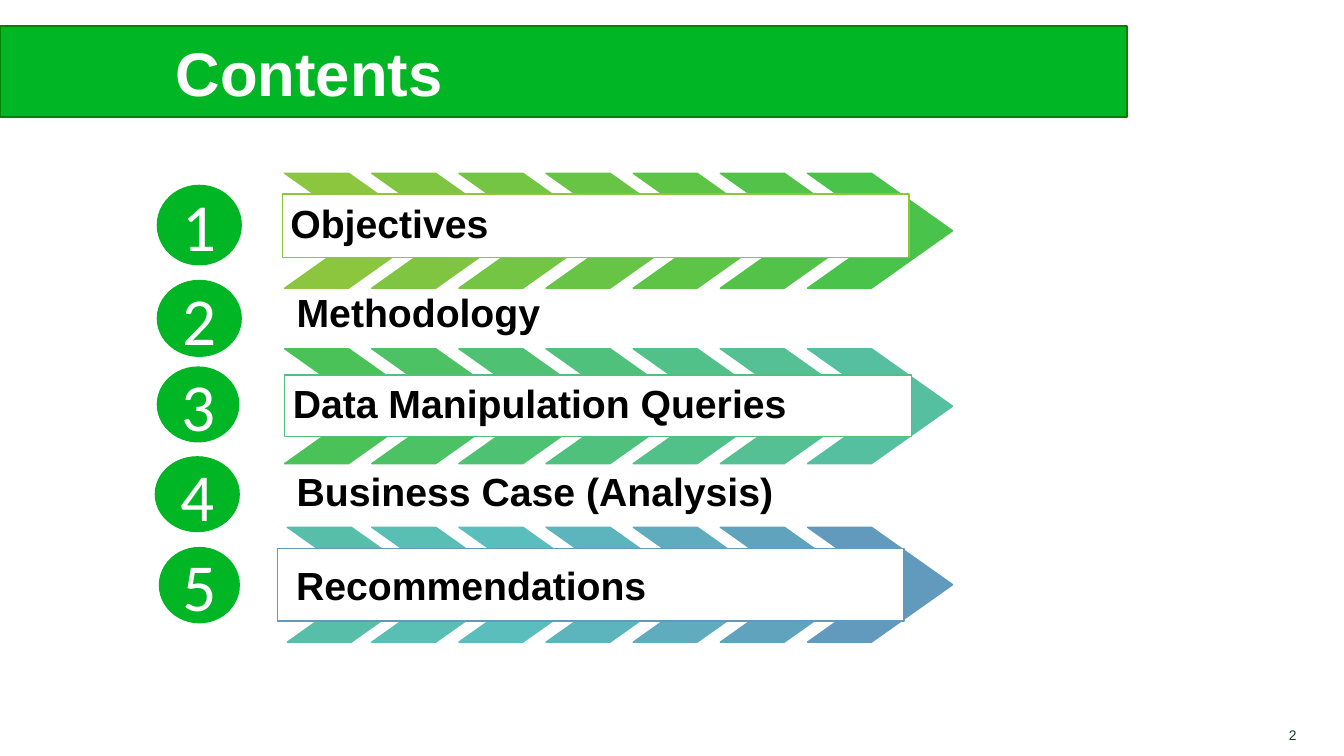
from pptx import Presentation
from pptx.dml.color import RGBColor
from pptx.enum.shapes import MSO_SHAPE
from pptx.enum.text import MSO_ANCHOR, PP_ALIGN
from pptx.util import Pt

# Content
TITLE = "Contents"
PAGE = "2"
COLORS = {"green": "00B624", "edge": "038203", "white": "FFFFFF",
          "black": "000000", "page": "163D22"}
# Arrow rows: label, box (left, top, width, height), outline,
# chevron top, first chevron left, left and top insets, chevron colours
ARROWS = [
    ("Objectives", (201.6, 138.5, 447.8, 45.4), "8CC63F", 123.8, 203.3, 5.8, 5.8,
     ["8CC63F", "80C541", "74C543", "68C444", "5DC446", "52C348", "4AC34B"]),
    ("Data Manipulation Queries", (203.3, 268, 447.8, 43.9), "50C17D", 249.1, 203.3, 5.8, 5.8,
     ["4BC258", "4DC265", "4FC172", "50C17D", "52C089", "54C094", "55BF9F"]),
    ("Recommendations", (198, 391.9, 447.8, 51.8), "619ABC", 376.6, 205.2, 13.5, 10.4,
     ["57BFA9", "59BEB3", "5ABEBC", "5CB5BD", "5EACBD", "5FA3BC", "619ABC"]),
]
PLAIN = [("Methodology", (203.3, 211, 442, 37.4)),
         ("Business Case (Analysis)", (203.3, 336.2, 442, 40.3))]
CIRCLES = [(112.3, 132.3, 60.1, 57), (112.3, 200.2, 60.1, 54.4),
           (112.3, 262.1, 58.3, 53.6), (110.9, 326.2, 60.1, 53.6),
           (113.8, 391, 57.2, 53.9)]
CHEVRON_LEFT, CHEVRON_STEP = 203.3, 62.25
CHEVRON_W, CHEVRON_H, CHEVRON_ADJ = 103.7, 82.1, 0.706

prs = Presentation()
prs.slide_width, prs.slide_height = Pt(960), Pt(540)
s = prs.slides.add_slide(prs.slide_layouts[6])


def rgb(value):
    return RGBColor.from_string(value)


def add_shape(kind, box, fill, line, width=1):
    sp = s.shapes.add_shape(kind, *map(Pt, box))
    sp.shadow.inherit = False
    sp.fill.solid()
    sp.fill.fore_color.rgb = rgb(fill)
    sp.line.color.rgb = rgb(line)
    sp.line.width = Pt(width)
    return sp


def add_textbox(box):
    return s.shapes.add_textbox(*map(Pt, box))


def write(sp, text, size, color, align=PP_ALIGN.LEFT, font="Arial", bold=False,
          anchor=MSO_ANCHOR.MIDDLE, insets=(7.2, 3.6, 7.2, 3.6), spacing=None):
    tf = sp.text_frame
    tf.word_wrap = True
    tf.vertical_anchor = anchor
    tf.margin_left, tf.margin_top, tf.margin_right, tf.margin_bottom = map(Pt, insets)
    p = tf.paragraphs[0]
    p.alignment = align
    if spacing:
        p.line_spacing = spacing
    r = p.add_run()
    r.text = text
    r.font.size = Pt(size)
    r.font.name = font
    r.font.bold = bold
    r.font.color.rgb = rgb(color)


def write_label(sp, text, insets, anchor=MSO_ANCHOR.MIDDLE):
    write(sp, text, 28, COLORS["black"], bold=True, anchor=anchor,
          insets=insets, spacing=0.9)


# Page number and title band
write(add_textbox((860.4, 517.7, 72.7, 14.4)), PAGE, 9.9, COLORS["page"], PP_ALIGN.RIGHT)
band = add_shape(MSO_SHAPE.RECTANGLE, (0, 18.7, 805, 64.8), COLORS["green"], COLORS["edge"])
write(band, TITLE, 44, COLORS["white"], bold=True, insets=(125.5, 3.6, 7.2, 3.6))

# Arrow rows: chevrons behind a labelled box
for label, box, outline, top, first, inset_x, inset_y, shades in ARROWS:
    for i, shade in enumerate(shades):
        left = CHEVRON_LEFT + i * CHEVRON_STEP if i else first
        chevron = add_shape(MSO_SHAPE.CHEVRON, (left, top, CHEVRON_W, CHEVRON_H), shade, shade)
        chevron.adjustments[0] = CHEVRON_ADJ
    sp = add_shape(MSO_SHAPE.RECTANGLE, box, COLORS["white"], outline)
    write_label(sp, label, (inset_x, inset_y, 5.8, 5.8))

# Plain rows between the arrows
for label, box in PLAIN:
    write_label(add_textbox(box), label, (8.6,) * 4, MSO_ANCHOR.BOTTOM)

# Numbered circles
for number, box in enumerate(CIRCLES, 1):
    circle = add_shape(MSO_SHAPE.OVAL, box, COLORS["green"], COLORS["green"], 0.75)
    write(circle, str(number), 48, COLORS["white"], PP_ALIGN.CENTER, "Calibri")

prs.save("out.pptx")
